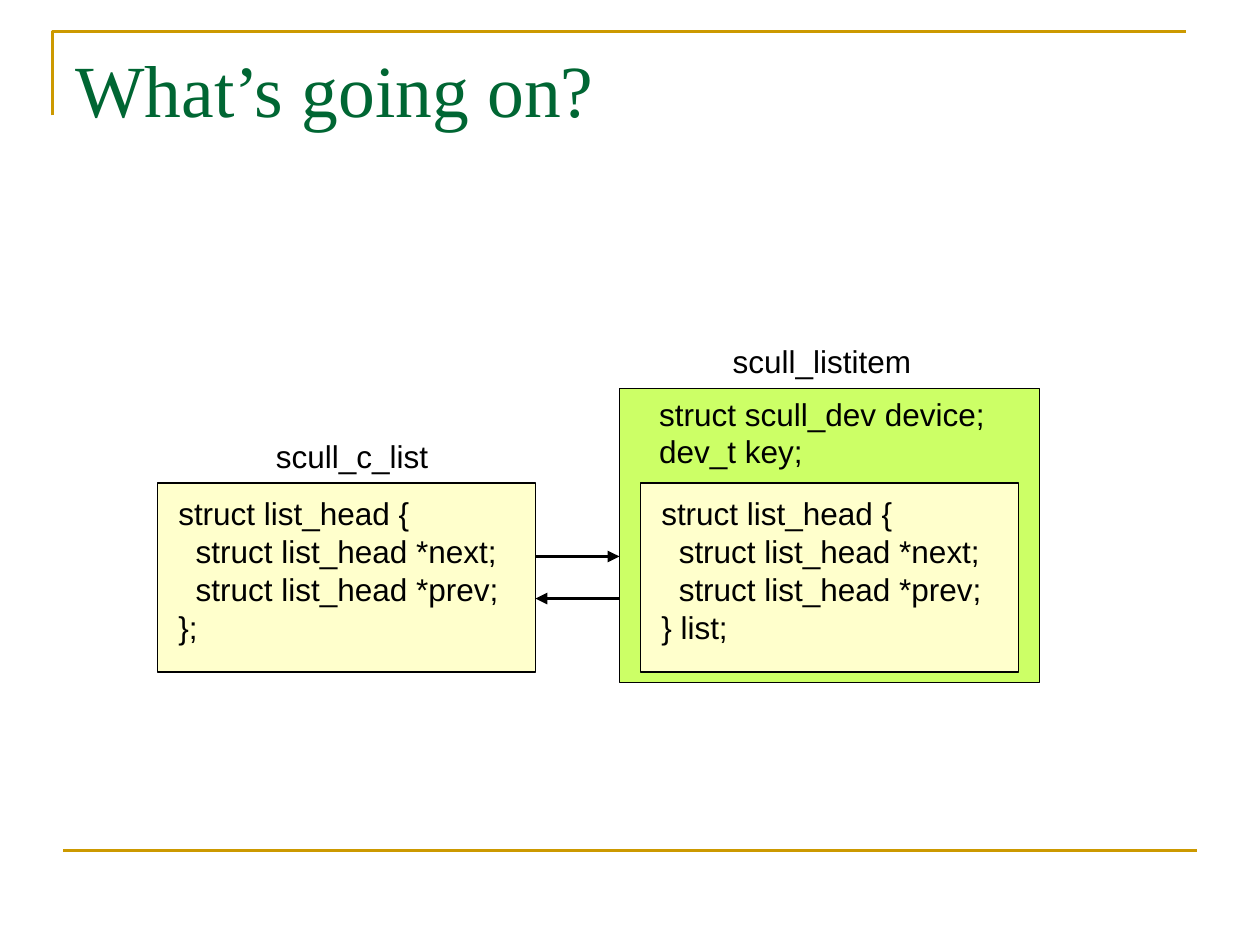
"""Build the slide that shows how two list_head structures point at each other."""
from dataclasses import dataclass

import pptx
import pptx.dml.color
import pptx.enum.shapes
import pptx.enum.text
import pptx.oxml
import pptx.oxml.ns
import pptx.util

RGB = pptx.dml.color.RGBColor
BLACK = RGB(0x00, 0x00, 0x00)
GOLD = RGB(0xCC, 0x99, 0x00)
GREEN = RGB(0x00, 0x66, 0x33)
LIME = RGB(0xCC, 0xFF, 0x66)
CREAM = RGB(0xFF, 0xFF, 0xCC)

COLS, ROWS = 120, 90
CELL = pptx.util.Inches(10) // COLS


@dataclass(frozen=True)
class Box:
    """A filled rectangle, in grid cells."""
    col: float
    row: float
    cols: float
    rows: float
    fill: RGB


@dataclass(frozen=True)
class Text:
    """Lines of text in one box, in grid cells."""
    col: float
    row: float
    cols: float
    rows: float
    lines: tuple[str, ...]
    font: str = "Arial"
    size: float = 18
    color: RGB = BLACK
    pitch: float | None = 21.6
    wrap: bool = False


@dataclass(frozen=True)
class Line:
    """A horizontal line, in grid cells."""
    start: float
    end: float
    row: float
    color: RGB = BLACK
    width: float = 2.25
    arrow: bool = True


def cells(n: float) -> int:
    """Turn grid cells into a length."""
    return round(n * CELL)


def draw_box(s, box: Box) -> None:
    """Draw one outlined rectangle."""
    sp = s.shapes.add_shape(
        pptx.enum.shapes.MSO_SHAPE.RECTANGLE,
        *map(cells, (box.col, box.row, box.cols, box.rows)))
    sp.shadow.inherit = False
    sp.fill.solid()
    sp.fill.fore_color.rgb = box.fill
    sp.line.color.rgb = BLACK
    sp.line.width = pptx.util.Pt(0.75)


def draw_text(s, text: Text) -> None:
    """Draw one text box, a paragraph for each line."""
    sp = s.shapes.add_textbox(
        *map(cells, (text.col, text.row, text.cols, text.rows)))
    tf = sp.text_frame
    tf.word_wrap = text.wrap
    tf.vertical_anchor = pptx.enum.text.MSO_ANCHOR.TOP
    for i, line in enumerate(text.lines):
        p = tf.add_paragraph() if i else tf.paragraphs[0]
        if text.pitch:
            p.line_spacing = pptx.util.Pt(text.pitch)
        r = p.add_run()
        r.text = line
        r.font.name = text.font
        r.font.size = pptx.util.Pt(text.size)
        r.font.color.rgb = text.color


def draw_line(s, line: Line) -> None:
    """Draw one line, with an arrowhead at its end if wanted."""
    sp = s.shapes.add_connector(
        pptx.enum.shapes.MSO_CONNECTOR.STRAIGHT,
        *map(cells, (line.start, line.row, line.end, line.row)))
    sp.line.color.rgb = line.color
    sp.line.width = pptx.util.Pt(line.width)
    props = sp._element.spPr
    if line.arrow:
        ln = sp.line._get_or_add_ln()
        head = pptx.oxml.ns.qn("a:tailEnd")
        ln.append(ln.makeelement(head, {"type": "triangle"}))
    props.append(props.makeelement(pptx.oxml.ns.qn("a:effectLst"), {}))


def draw_corner(s) -> None:
    """Draw the open corner around the title."""
    builder = s.shapes.build_freeform(5, 11, scale=CELL)
    builder.add_line_segments([(5, 3), (113, 3)], close=False)
    sp = builder.convert_to_shape()
    sp.shadow.inherit = False
    sp.fill.background()
    sp.line.color.rgb = GOLD
    sp.line.width = pptx.util.Pt(1.5)


def draw_list_head(s, col: float, closing: str) -> None:
    """Draw a list_head structure with its closing line."""
    draw_box(s, Box(col, 46, 36, 18, CREAM))
    draw_text(s, Text(col + 0.8, 46.5, 33.5, 15.6, (
        "struct list_head {",
        "  struct list_head *next;",
        "  struct list_head *prev;",
        closing), wrap=True))


def main() -> None:
    """Build and save the slide."""
    prs = pptx.Presentation()
    prs.slide_width, prs.slide_height = cells(COLS), cells(ROWS)
    s = prs.slides.add_slide(prs.slide_layouts[6])
    draw_corner(s)
    draw_line(s, Line(6, 114, 81, GOLD, 1.5, arrow=False))
    draw_box(s, Box(59, 37, 40, 28, LIME))
    draw_text(s, Text(6, 3.6, 108, 15, ("What’s going on?",),
                      "Times New Roman", 42, GREEN, None, True))
    draw_text(s, Text(25.1, 41, 17.5, 4.8, ("scull_c_list",), wrap=True))
    draw_list_head(s, 15, "};")
    draw_list_head(s, 61, "} list;")
    draw_text(s, Text(68.6, 32, 20, 4.8, ("scull_listitem",), wrap=True))
    draw_line(s, Line(51, 59, 53))
    draw_line(s, Line(59, 51, 57))
    draw_text(s, Text(61.6, 37, 34, 8.4,
                      ("struct scull_dev device;", "dev_t key;"), wrap=True))
    prs.save("out.pptx")


if __name__ == "__main__":
    main()
